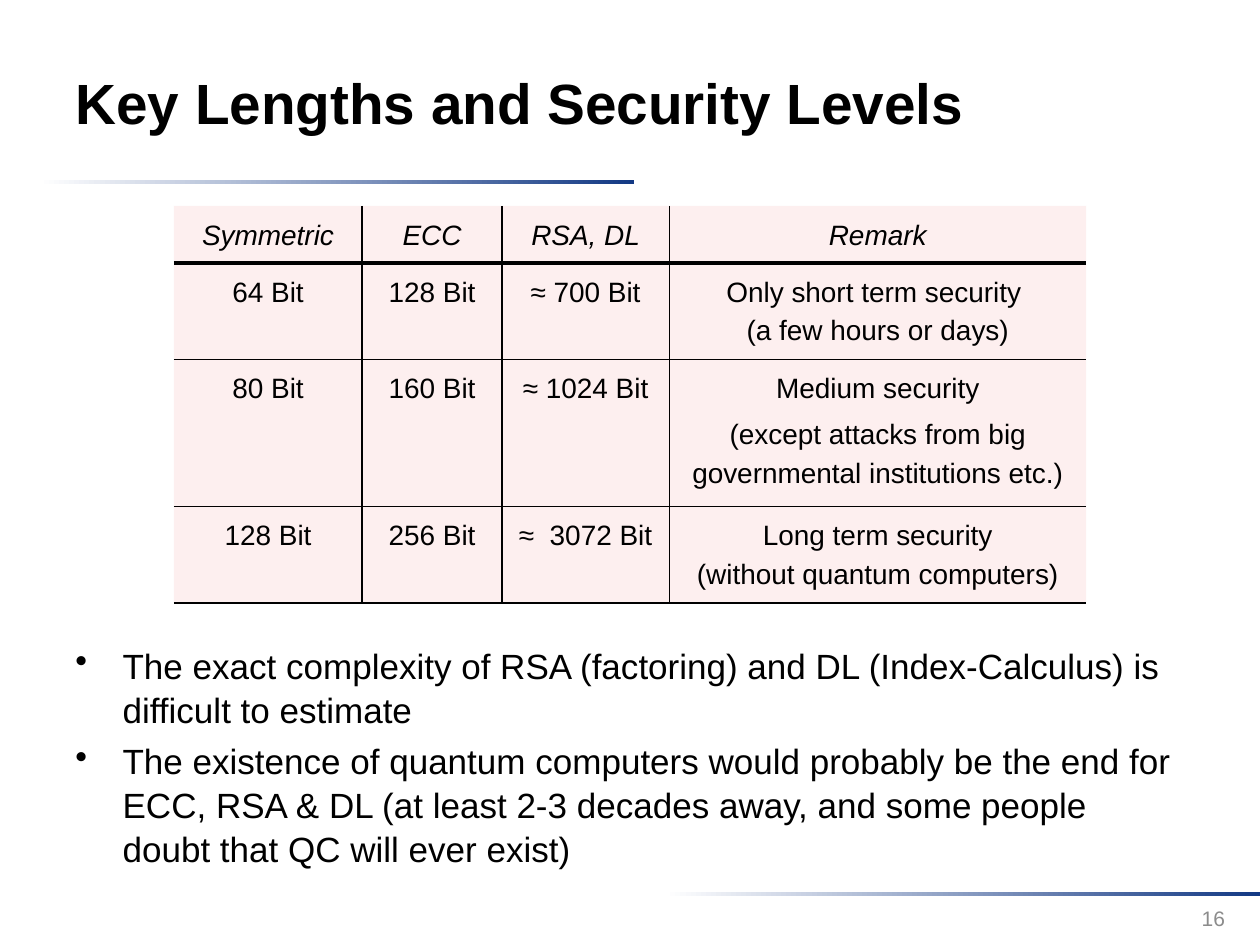
from lxml import etree
from pptx import Presentation
from pptx.dml.color import RGBColor
from pptx.enum import shapes, text
from pptx.oxml import parse_xml
from pptx.oxml.ns import nsdecls, qn
from pptx.util import Pt


def rgb(value):
    return RGBColor.from_string(value)


def set_font(p, size, color="000000", bold=False, italic=False):
    f = p.font
    f.name, f.size, f.bold, f.italic = "Arial", Pt(size), bold, italic
    f.color.rgb = rgb(color)


prs = Presentation()
prs.slide_width, prs.slide_height = Pt(720), Pt(540)
s = prs.slides.add_slide(prs.slide_layouts[6])

# Fading rules under the title and above the page number
for x, y in [(22.3, 102.8), (380.2, 509.8)]:
    sp = s.shapes.add_shape(shapes.MSO_SHAPE.RECTANGLE, Pt(x), Pt(y), Pt(339.8), Pt(2.2))
    sp.shadow.inherit = False
    sp.line.fill.background()
    sp.fill.gradient()
    sp.fill.gradient_angle = 0
    for stop, color, pos in zip(sp.fill.gradient_stops, ["FFFFFF", "133984"], [0, 1]):
        stop.color.rgb = rgb(color)
        stop.position = pos

# Title, bullets and page number
bullets = [
    "The exact complexity of RSA (factoring) and DL (Index-Calculus) is difficult to estimate",
    "The existence of quantum computers would probably be the end for ECC, RSA & DL "
    "(at least 2-3 decades away, and some people doubt that QC will ever exist)",
]
frames = []
for x, y, w, h, content, anchor in [
    (36, 13, 556.6, 90, "Key Lengths and Security Levels", text.MSO_ANCHOR.MIDDLE),
    (36, 363.6, 648, 126.7, "\n".join(bullets), text.MSO_ANCHOR.TOP),
    (539.3, 510.5, 167.8, 28.8, "16", text.MSO_ANCHOR.MIDDLE),
]:
    tf = s.shapes.add_textbox(Pt(x), Pt(y), Pt(w), Pt(h)).text_frame
    tf.word_wrap = True
    tf.vertical_anchor = anchor
    tf.text = content
    frames.append(tf)
title, body, number = frames

set_font(title.paragraphs[0], 32.4, bold=True)
set_font(number.paragraphs[0], 12, "8C8C8C")
number.paragraphs[0].alignment = text.PP_ALIGN.RIGHT
for p in body.paragraphs:
    set_font(p, 20)
    p.space_before = Pt(4)
    p.line_spacing = 1.05
    pPr = p._p.get_or_add_pPr()
    pPr.set("marL", str(Pt(27)))
    pPr.set("indent", str(-Pt(27)))
    bullet = etree.Element(qn("a:buChar"), char="•")
    pPr.find(qn("a:defRPr")).addprevious(bullet)

# Table of key lengths
rows = [
    ["Symmetric", "ECC", "RSA, DL", "Remark"],
    ["64 Bit", "128 Bit", "≈ 700 Bit", "Only short term security \v(a few hours or days)"],
    ["80 Bit", "160 Bit", "≈ 1024 Bit",
     "Medium security\n(except attacks from big governmental institutions etc.)"],
    ["128 Bit", "256 Bit", "≈  3072 Bit", "Long term security\v(without quantum computers)"],
]
widths = [107.6, 79.8, 95.7, 238.2]
heights = [32.6, 55.2, 84, 55.2]
frame = s.shapes.add_table(4, 4, Pt(99.4), Pt(117.6), Pt(sum(widths)), Pt(sum(heights)))
table = frame.table
# Plain style without grid or banding
table._tbl.tblPr.find(qn("a:tableStyleId")).text = "{2D5ABB26-0587-4C30-8999-92F81FD0307C}"
table.horz_banding = False
for col, w in zip(table.columns, widths):
    col.width = Pt(w)
for row, h in zip(table.rows, heights):
    row.height = Pt(h)

for i, row in enumerate(rows):
    for j, content in enumerate(row):
        cell = table.cell(i, j)
        cell.text = content
        for p in cell.text_frame.paragraphs:
            set_font(p, 16, italic=i == 0)
            p.alignment = text.PP_ALIGN.CENTER
            p.line_spacing = 1.25
            p.space_before = Pt(4)
        cell.fill.solid()
        cell.fill.fore_color.rgb = rgb("FCE0E1")
        tcPr = cell._tc.tcPr
        etree.SubElement(tcPr.find(".//" + qn("a:srgbClr")), qn("a:alpha"), val="50000")

        # No border on the left, right and top edges; heavy line below the header
        borders = {
            "L": 1 if j > 0 else 0,
            "R": 1 if j < 3 else 0,
            "T": [0, 2.25, 1, 1][i],
            "B": 2.25 if i == 0 else 1,
        }
        for k, (side, width) in enumerate(borders.items()):
            paint = '<a:solidFill><a:srgbClr val="000000"/></a:solidFill>' if width else "<a:noFill/>"
            tcPr.insert(k, parse_xml(
                f'<a:ln{side} {nsdecls("a")} w="{Pt(width)}">{paint}</a:ln{side}>'))

prs.save("out.pptx")
